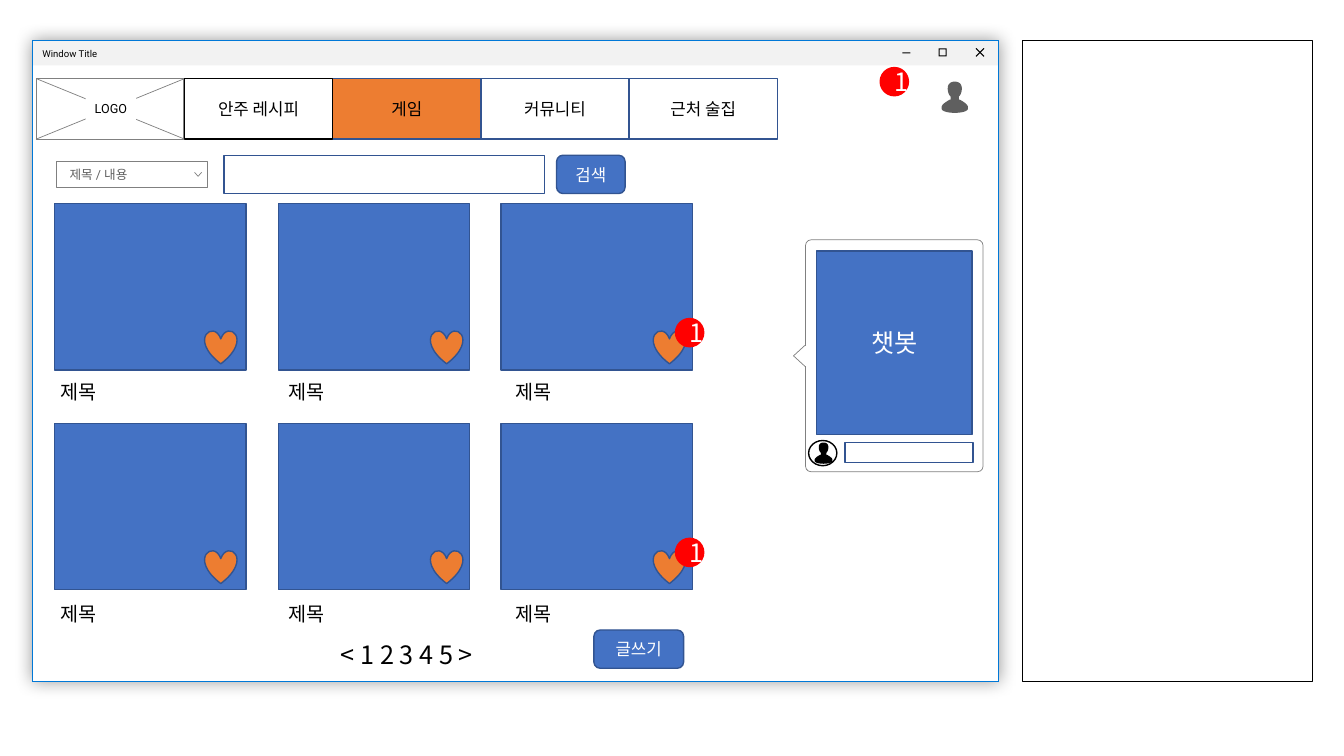
from dataclasses import dataclass

from lxml import etree
from pptx import Presentation
from pptx.dml.color import RGBColor
from pptx.enum.shapes import MSO_CONNECTOR, MSO_SHAPE
from pptx.enum.text import MSO_ANCHOR, MSO_AUTO_SIZE, PP_ALIGN
from pptx.oxml.ns import qn
from pptx.util import Pt

PX = 9144  # EMU in one px, 100 px to the inch
RECT, ROUNDED, OVAL = MSO_SHAPE.RECTANGLE, MSO_SHAPE.ROUNDED_RECTANGLE, MSO_SHAPE.OVAL
HEART, TRIANGLE, FRAME = MSO_SHAPE.HEART, MSO_SHAPE.ISOSCELES_TRIANGLE, MSO_SHAPE.FRAME
STRAIGHT = MSO_CONNECTOR.STRAIGHT
MIDDLE, TOP = MSO_ANCHOR.MIDDLE, MSO_ANCHOR.TOP
LEFT, CENTER = PP_ALIGN.LEFT, PP_ALIGN.CENTER
FIXED, GROW = MSO_AUTO_SIZE.NONE, MSO_AUTO_SIZE.SHAPE_TO_FIT_TEXT


@dataclass(frozen=True)
class Theme:
    white: str = "FFFFFF"
    black: str = "000000"
    bar: str = "F2F2F2"
    window: str = "0078D7"
    blue: str = "4472C4"
    navy: str = "325491"
    orange: str = "ED7D31"
    red: str = "FF0000"
    grey: str = "808080"
    dark: str = "5F5F5F"
    latin: str = "Roboto"
    korean: str = "Noto Sans CJK KR"
    tiny: float = 6.8
    small: float = 9
    menu: float = 12
    label: float = 14
    large: float = 18
    hairline: float = 0.5
    thin: float = 0.75
    normal: float = 1


def apply(target, values):
    for name, value in values.items():
        setattr(target, name, value)


def bezier(start, first, second, end, steps=10):
    """Points on a cubic curve, without its start."""
    for step in range(1, steps + 1):
        t = step / steps
        weights = ((1 - t) ** 3, 3 * t * (1 - t) ** 2, 3 * t * t * (1 - t), t ** 3)
        yield tuple(sum(w * point[axis] for w, point in zip(weights, (start, first, second, end)))
                    for axis in (0, 1))


def person_outline():
    """Right half from curves, left half by mirroring about x = 13."""
    half = [(13, 0)]
    for curve in (((17, 0), (20, 2), (20, 7)), ((20, 10), (19, 13), (17, 15)),
                  ((17, 17),), ((17, 18), (17, 18), (18, 18)),
                  ((22, 20), (26, 23), (26, 25)), ((26, 27),),
                  ((26, 29), (21, 31), (13, 31))):
        half.extend(bezier(half[-1], *curve) if len(curve) == 3 else curve)
    return half + [(26 - x, y) for x, y in reversed(half[1:-1])]


class Mockup:
    def __init__(self, page, theme):
        self.page, self.theme = page, theme

    def paint(self, shape, fill=None, line=None, weight=None):
        shape.shadow.inherit = False
        if fill:
            shape.fill.solid()
            shape.fill.fore_color.rgb = RGBColor.from_string(fill)
        else:
            shape.fill.background()
        if line:
            shape.line.color.rgb = RGBColor.from_string(line)
            shape.line.width = Pt(weight or self.theme.normal)
        else:
            shape.line.fill.background()
        return shape

    def put_text(self, shape, text, size, color, font=None, align=CENTER, anchor=MIDDLE,
                 wrap=True, fit=FIXED, insets=(10, 5, 10, 5)):
        font = font or self.theme.korean
        sides = ("margin_left", "margin_top", "margin_right", "margin_bottom")
        apply(shape.text_frame, {"word_wrap": wrap, "auto_size": fit, "vertical_anchor": anchor,
                                 **{side: inset * PX for side, inset in zip(sides, insets)}})
        para = shape.text_frame.paragraphs[0]
        para.alignment = align
        span = para.add_run()
        span.text = text
        apply(span.font, {"size": Pt(size), "name": font})
        span.font.color.rgb = RGBColor.from_string(color)
        etree.SubElement(span.font._element, qn("a:ea"), typeface=font)

    def box(self, kind, x, y, width, height, fill=None, line=None, weight=None):
        shape = self.page.shapes.add_shape(kind, x * PX, y * PX, width * PX, height * PX)
        return self.paint(shape, fill, line, weight)

    def label(self, x, y, text):
        box = self.page.shapes.add_textbox(x * PX, y * PX, 59 * PX, 34 * PX)
        self.put_text(box, text, self.theme.label, self.theme.black,
                      align=LEFT, anchor=TOP, wrap=False, fit=GROW)

    def button(self, x, y, width, text):
        shape = self.box(ROUNDED, x, y, width, 38, self.theme.blue, self.theme.navy)
        self.put_text(shape, text, self.theme.menu, self.theme.white)

    def badge(self, x, y):
        shape = self.box(OVAL, x, y, 28, 28, self.theme.red, self.theme.red)
        self.put_text(shape, "1", self.theme.large, self.theme.white)

    def line(self, x1, y1, x2, y2, color, weight):
        line = self.page.shapes.add_connector(STRAIGHT, x1 * PX, y1 * PX, x2 * PX, y2 * PX)
        line.line.color.rgb = RGBColor.from_string(color)
        line.line.width = Pt(weight)
        etree.SubElement(line._element.spPr, qn("a:effectLst"))

    def outline(self, x, y, points, zoom=1, closed=True, **paint):
        fine = [(px * 100, py * 100) for px, py in points]
        builder = self.page.shapes.build_freeform(*fine[0], scale=PX * zoom / 100)
        builder.add_line_segments(fine[1:], close=closed)
        self.paint(builder.convert_to_shape(x * PX, y * PX), **paint)

    def glow(self, shape):
        effects = shape._element.spPr.find(qn("a:effectLst"))
        shadow = etree.SubElement(effects, qn("a:outerShdw"), blurRad=str(Pt(12)), algn="ctr")
        color = etree.SubElement(shadow, qn("a:srgbClr"), val=self.theme.black)
        etree.SubElement(color, qn("a:alpha"), val="40000")

    def title_bar(self, x, y, width, height, text):
        title = self.page.shapes.title
        self.page.shapes._spTree.append(title._element)  # in front of the window
        apply(title, {"left": x * PX, "top": y * PX, "width": width * PX, "height": height * PX})
        title.fill.solid()
        title.fill.fore_color.rgb = RGBColor.from_string(self.theme.bar)
        self.put_text(title, text, self.theme.tiny, self.theme.black, self.theme.latin,
                      align=LEFT, insets=(10, 6, 10, 5))


def main():
    deck = Presentation()
    apply(deck, {"slide_width": 1333 * PX, "slide_height": 750 * PX})
    theme = Theme()
    mock = Mockup(deck.slides.add_slide(deck.slide_layouts[5]), theme)
    person = person_outline()

    # Side panel and window
    mock.box(RECT, 1014, 40, 288, 636, line=theme.black, weight=theme.thin)
    mock.glow(mock.box(RECT, 32, 40, 958, 636, theme.white, theme.window, theme.hairline))
    mock.title_bar(32, 40, 958, 25, "Window Title")
    mock.box(RECT, 895, 52, 8, 1, theme.black)
    mock.box(FRAME, 931, 48, 8, 8, theme.black)
    for start, end in ((48, 56), (56, 48)):
        mock.line(968, start, 976, end, theme.black, theme.thin)
    mock.box(RECT, 32, 40, 958, 636, line=theme.window, weight=theme.hairline)

    # User icon
    mock.badge(873, 67)
    mock.outline(934, 81, person, fill=theme.dark)

    # Chatbot
    bubble = mock.box(ROUNDED, 799, 238, 176, 230, theme.white, theme.grey, theme.hairline)
    bubble.adjustments[0] = 0.03
    pointer = mock.box(TRIANGLE, 782, 347, 22, 12, theme.white, theme.grey, theme.hairline)
    pointer.rotation = 270
    mock.line(799, 343, 799, 363, theme.white, theme.hairline)
    mock.box(RECT, 838, 439, 127, 20, theme.white, theme.navy)
    screen = mock.box(RECT, 810, 249, 154, 182, theme.blue, theme.navy)
    mock.put_text(screen, "챗봇", theme.large, theme.white)
    mock.box(OVAL, 802, 437, 28, 25, theme.white, theme.black)
    mock.outline(808, 439, person, zoom=0.68, fill=theme.black)

    # Logo area
    mock.box(RECT, 36, 78, 146, 60, theme.white, theme.grey, theme.hairline)
    for start, end in ((138, 78), (78, 138)):
        mock.line(36, start, 183, end, theme.grey, theme.hairline)
    logo = mock.box(RECT, 85, 96, 50, 23, theme.white)
    mock.put_text(logo, "LOGO", theme.small, theme.black, theme.latin,
                  wrap=False, fit=GROW, insets=(8, 4, 8, 4))

    # Menu, first tab in front
    tabs = (("안주 레시피", theme.white, theme.black), ("게임", theme.orange, theme.navy),
            ("커뮤니티", theme.white, theme.navy), ("근처 술집", theme.white, theme.navy))
    for index in (1, 2, 3, 0):
        text, fill, line = tabs[index]
        tab = mock.box(RECT, 183 + 147 * index, 78, 147, 60, fill, line)
        mock.put_text(tab, text, theme.menu, theme.black)

    # Cards
    for top, label_top in ((202, 372), (420, 592)):
        for left, heart_left, label_left in ((54, 203, 50), (276, 427, 276), (497, 648, 501)):
            mock.box(RECT, left, top, 190, 165, theme.blue, theme.navy)
            mock.box(HEART, heart_left, top + 126, 32, 33, theme.orange, theme.navy)
            mock.label(label_left, label_top, "제목")
        mock.badge(670, top + 114)

    # Search row
    mock.box(RECT, 222, 154, 318, 38, theme.white, theme.navy)
    choice = mock.box(RECT, 56, 160, 150, 26, theme.white, theme.grey, theme.hairline)
    mock.put_text(choice, "제목 / 내용", theme.small, theme.dark, theme.latin,
                  align=LEFT, insets=(13, 6, 28, 6))
    mock.outline(193, 171, ((7, 0), (3.5, 4), (0, 0)), closed=False,
                 line=theme.grey, weight=theme.hairline)
    mock.button(552, 154, 68, "검색")

    # Pager and post button
    pager = mock.box(RECT, 188, 632, 431, 34, theme.white)
    mock.put_text(pager, "< 1 2 3 4 5 >", theme.large, theme.black)
    mock.button(589, 625, 89, "글쓰기")

    deck.save("out.pptx")


if __name__ == "__main__":
    main()
